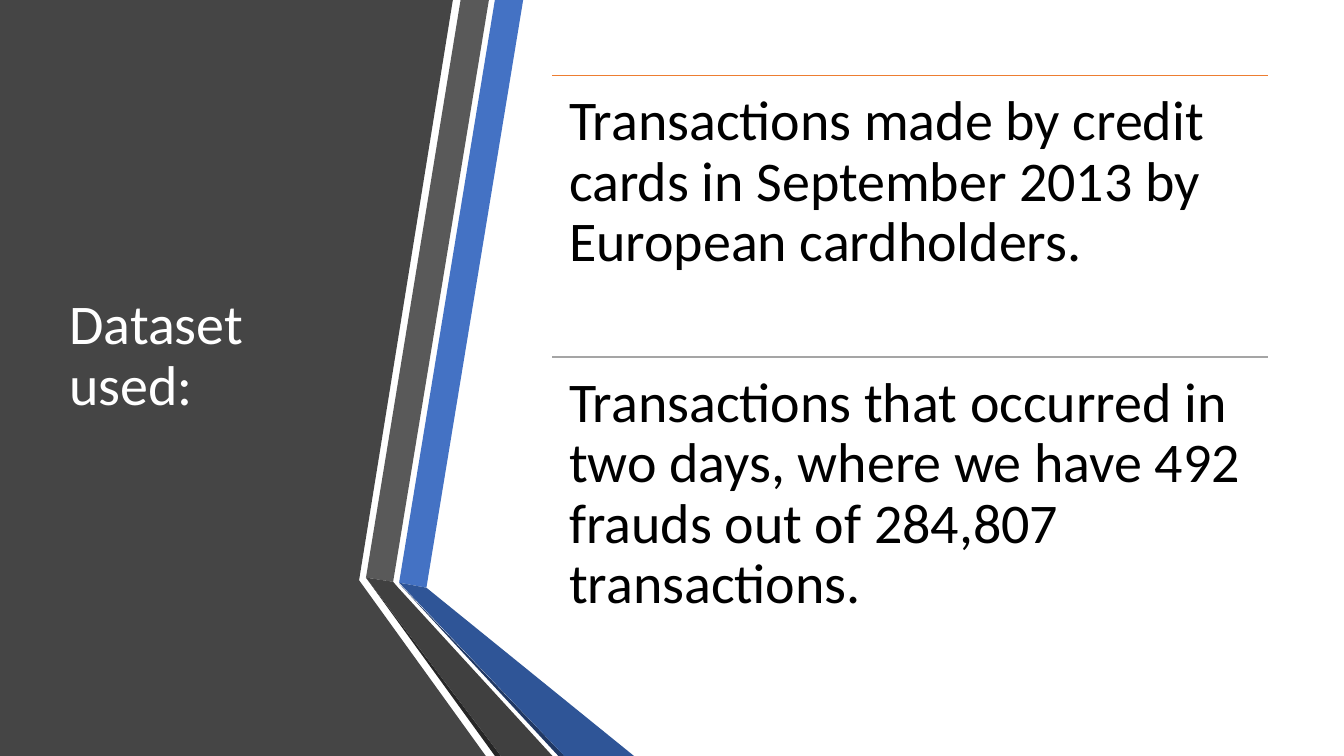
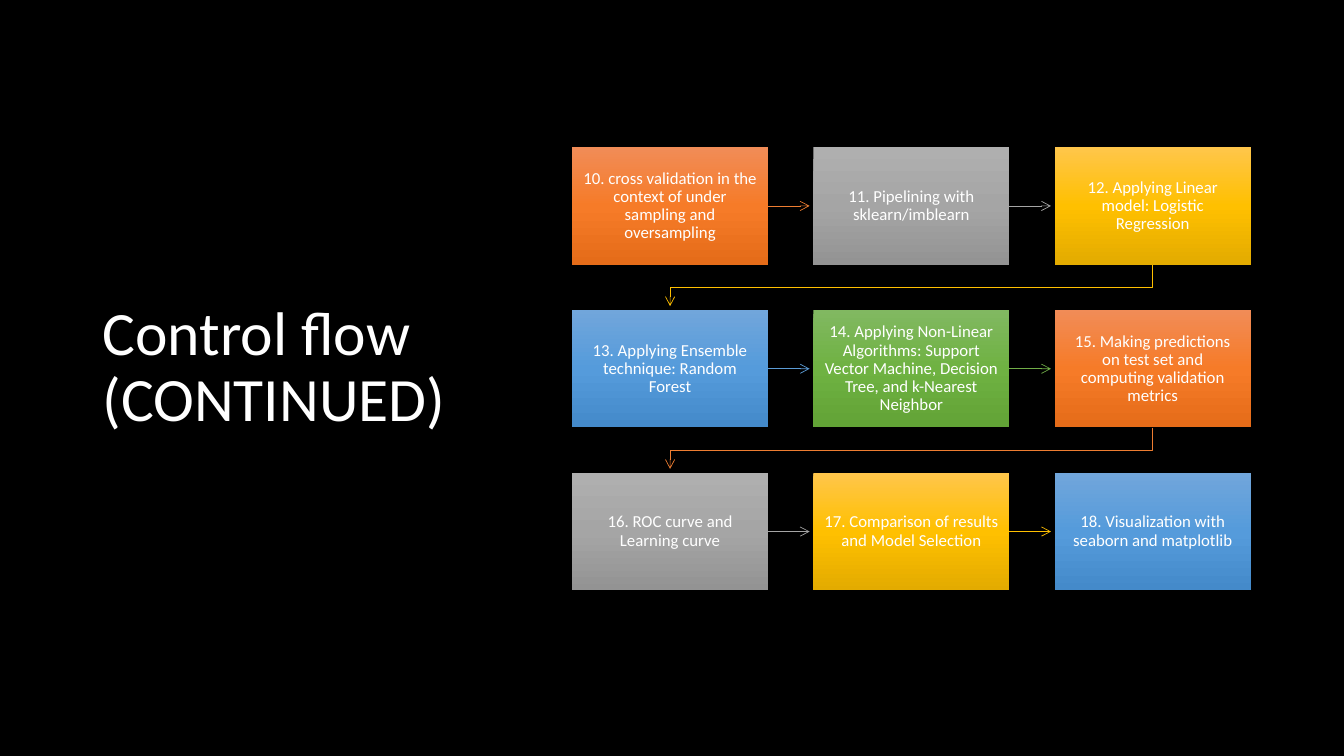
from copy import deepcopy

from lxml import etree
from pptx import Presentation
from pptx.dml.color import RGBColor
from pptx.enum.shapes import MSO_CONNECTOR, MSO_SHAPE
from pptx.enum.text import MSO_ANCHOR, PP_ALIGN
from pptx.oxml.ns import qn
from pptx.util import Pt

RECTANGLE = MSO_SHAPE.RECTANGLE
STRAIGHT = MSO_CONNECTOR.STRAIGHT
TOP, MIDDLE = MSO_ANCHOR.TOP, MSO_ANCHOR.MIDDLE
LEFT, CENTER = PP_ALIGN.LEFT, PP_ALIGN.CENTER

# Shared style
FONT = "Calibri"
LINE_SPACING = 0.9
SLIDE_WIDTH, SLIDE_HEIGHT = 960, 540

BLACK = RGBColor(0x00, 0x00, 0x00)
WHITE = RGBColor(0xFF, 0xFF, 0xFF)
PANEL_GRAY = RGBColor(0x45, 0x45, 0x45)
BAND_GRAY = RGBColor(0x59, 0x59, 0x59)
FOLD_GRAY = RGBColor(0x40, 0x40, 0x40)
EDGE_GRAY = RGBColor(0x26, 0x26, 0x26)
BAND_BLUE = RGBColor(0x44, 0x72, 0xC4)
FOLD_BLUE = RGBColor(0x2F, 0x55, 0x97)
EDGE_BLUE = RGBColor(0x20, 0x38, 0x64)
ORANGE = RGBColor(0xED, 0x7D, 0x31)
GRAY = RGBColor(0xA5, 0xA5, 0xA5)
GOLD = RGBColor(0xFF, 0xC0, 0x00)
BLUE = RGBColor(0x5B, 0x9B, 0xD5)
GREEN = RGBColor(0x70, 0xAD, 0x47)

# Accent colour of each step, with the gradient of its box from top to bottom
STEP_STYLES = [
    (ORANGE, ("F18C57", "F67B28", "E56C19")),
    (GRAY, ("AFAFAF", "A5A5A5", "939393")),
    (GOLD, ("FFC64B", "FFC000", "E3AB00")),
    (BLUE, ("71A6DB", "559BDB", "448ACA")),
    (GREEN, ("81B861", "6FB242", "62A336")),
]

# Folded ribbon beside the title: colour and corner points
RIBBON = [
    (PANEL_GRAY, [(0, 0), (323.5, 0), (256.5, 414.5), (347, 540), (0, 540)]),
    (BAND_BLUE, [(353.5, 0), (373.7, 0), (304.6, 419.8), (285.1, 416.2)]),
    (BAND_GRAY, [(329, 0), (349.2, 0), (280.8, 415.6), (261.4, 412.6)]),
    (EDGE_GRAY, [(261.4, 412.6), (353.5, 540), (357.8, 540)]),
    (EDGE_BLUE, [(285.1, 416.9), (398.9, 540), (403.2, 540)]),
    (FOLD_BLUE, [(285.1, 416.2), (403.2, 540), (452.9, 540), (304.6, 419.8)]),
    (FOLD_GRAY, [(261.4, 412.6), (357.8, 540), (394.6, 540),
                 (284.4, 419.8), (280.8, 415.6)]),
]

FACTS = [
    (ORANGE, "Transactions made by credit cards in September 2013 by "
             "European cardholders."),
    (GRAY, "Transactions that occurred in two days, where we have 492 frauds "
           "out of 284,807 transactions."),
]
FACT_LEFT, FACT_TOP, FACT_WIDTH, FACT_HEIGHT = 394.6, 54, 511.2, 201

STEPS = [
    "10. cross validation in the context of under sampling and oversampling",
    "11. Pipelining with sklearn/imblearn",
    "12. Applying Linear model: Logistic Regression",
    "13. Applying Ensemble technique: Random Forest",
    "14. Applying Non-Linear Algorithms: Support Vector Machine, "
    "Decision Tree, and k-Nearest Neighbor",
    "15. Making predictions on test set and computing validation metrics",
    "16. ROC curve and Learning curve",
    "17. Comparison of results and Model Selection",
    "18. Visualization with seaborn and matplotlib",
]
COLUMNS = 3
GRID_LEFT, GRID_TOP = 408.6, 105.1
STEP_WIDTH, STEP_HEIGHT, STEP_GAP = 140.1, 84, 32.3
ARROW_LENGTH = 29.6


def write_text(shape, text, *, size, color, align=LEFT, anchor=TOP,
               inset=(7.2, 3.6)):
    """Fill a shape with one formatted paragraph."""
    frame = shape.text_frame
    frame.word_wrap = True
    frame.vertical_anchor = anchor
    frame.margin_left = frame.margin_right = Pt(inset[0])
    frame.margin_top = frame.margin_bottom = Pt(inset[1])
    para = frame.paragraphs[0]
    para.alignment = align
    para.line_spacing = LINE_SPACING
    span = para.add_run()
    span.text = text
    span.font.name = FONT
    span.font.size = Pt(size)
    span.font.color.rgb = color


def add_text(page, text, left, top, width, height, **style):
    box = page.shapes.add_textbox(Pt(left), Pt(top), Pt(width), Pt(height))
    write_text(box, text, **style)


def add_title(page, text, left, top, width, height, size):
    add_text(page, text, left, top, width, height,
             size=size, color=WHITE, anchor=MIDDLE)


def add_outline(page, points, close=True):
    corners = [(Pt(x), Pt(y)) for x, y in points]
    builder = page.shapes.build_freeform(*corners[0])
    builder.add_line_segments(corners[1:], close=close)
    outline = builder.convert_to_shape()
    outline.shadow.inherit = False
    return outline


def add_polygon(page, points, color):
    polygon = add_outline(page, points)
    polygon.fill.solid()
    polygon.fill.fore_color.rgb = color
    polygon.line.fill.background()


def style_line(shape, color, width, arrow=False):
    shape.line.color.rgb = color
    shape.line.width = Pt(width)
    if arrow:
        line = shape.line._get_or_add_ln()
        etree.SubElement(line, qn("a:tailEnd"), type="arrow")


def add_line(page, start, end, color, width, arrow=False):
    line = page.shapes.add_connector(
        STRAIGHT, *(Pt(value) for value in (*start, *end)))
    style_line(line, color, width, arrow)
    etree.SubElement(line._element.spPr, qn("a:effectLst"))


def add_bent_arrow(page, points, color, width):
    arrow = add_outline(page, points, close=False)
    arrow.fill.background()
    style_line(arrow, color, width, arrow=True)


def fill_gradient(shape, colors):
    """Spread the colours evenly from top to bottom."""
    shape.fill.gradient()
    shape.fill.gradient_angle = 270
    stop_list = shape._element.spPr.find(qn("a:gradFill")).find(qn("a:gsLst"))
    while len(stop_list) < len(colors):
        stop_list.append(deepcopy(stop_list[0]))
    for index, (stop, color) in enumerate(
            zip(shape.fill.gradient_stops, colors)):
        stop.color.rgb = RGBColor.from_string(color)
        stop.position = index / (len(colors) - 1)


def add_step(page, text, left, top, gradient):
    box = page.shapes.add_shape(
        RECTANGLE, Pt(left), Pt(top), Pt(STEP_WIDTH), Pt(STEP_HEIGHT))
    box.shadow.inherit = False
    box.line.fill.background()
    fill_gradient(box, gradient)
    write_text(box, text, size=12, color=WHITE, align=CENTER, anchor=MIDDLE,
               inset=(6.9, 6.9))


def add_step_arrow(page, column, left, top, color):
    """Lead to the right, or from the row's end to the next row's start."""
    if column < COLUMNS - 1:
        right, middle = left + STEP_WIDTH, top + STEP_HEIGHT / 2
        add_line(page, (right, middle), (right + ARROW_LENGTH, middle),
                 color, 0.5, arrow=True)
        return
    start_x, bottom = left + STEP_WIDTH / 2, top + STEP_HEIGHT
    end_x, turn = GRID_LEFT + STEP_WIDTH / 2, bottom + STEP_GAP / 2
    add_bent_arrow(page, [(start_x, bottom), (start_x, turn), (end_x, turn),
                          (end_x, bottom + ARROW_LENGTH)], color, 0.5)


def build_dataset(page):
    for color, points in RIBBON:
        add_polygon(page, points, color)
    add_title(page, "Dataset used:", 42.5, 54, 218.9, 401.8, 40)
    for index, (color, text) in enumerate(FACTS):
        top = FACT_TOP + index * FACT_HEIGHT
        add_line(page, (FACT_LEFT, top), (FACT_LEFT + FACT_WIDTH, top),
                 color, 1)
        add_text(page, text, FACT_LEFT, top, FACT_WIDTH, FACT_HEIGHT,
                 size=40, color=BLACK, inset=(12, 12))


def build_control_flow(page):
    page.background.fill.solid()
    page.background.fill.fore_color.rgb = BLACK
    add_title(page, "Control flow (CONTINUED)", 66.2, 43.9, 326.9, 438.5, 44)
    for index, text in enumerate(STEPS):
        row, column = divmod(index, COLUMNS)
        left = GRID_LEFT + column * (STEP_WIDTH + STEP_GAP)
        top = GRID_TOP + row * (STEP_HEIGHT + STEP_GAP)
        accent, gradient = STEP_STYLES[index % len(STEP_STYLES)]
        if index < len(STEPS) - 1:
            add_step_arrow(page, column, left, top, accent)
        add_step(page, text, left, top, gradient)


def main():
    deck = Presentation()
    deck.slide_width, deck.slide_height = Pt(SLIDE_WIDTH), Pt(SLIDE_HEIGHT)
    blank = deck.slide_layouts[6]
    for build in (build_dataset, build_control_flow):
        build(deck.slides.add_slide(blank))
    deck.save("out.pptx")


if __name__ == "__main__":
    main()
